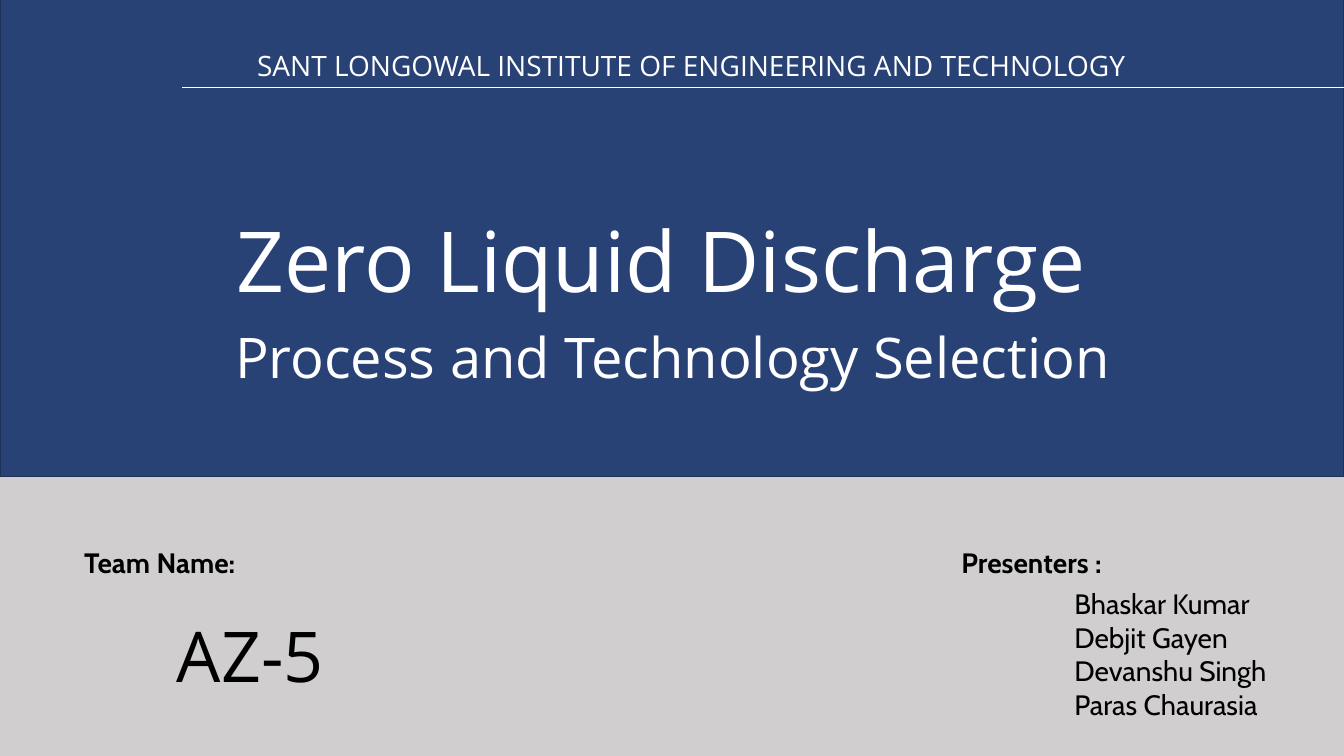
from lxml.etree import SubElement
from pptx import Presentation
from pptx.dml.color import RGBColor
from pptx.enum.shapes import MSO_CONNECTOR as CONN, MSO_SHAPE as SHAPE
from pptx.enum.text import MSO_AUTO_SIZE as AUTO, PP_ALIGN as ALIGN
from pptx.oxml.ns import qn
from pptx.util import Pt

COLORS = {"back": "D0CECE", "banner": "002060", "edge": "1E3256",
          "light": "FFFFFF", "dark": "000000"}
SLIDE_W, SLIDE_H = 960, 540
BANNER = (0, -2.16, SLIDE_W, 342.72)
BANNER_OPACITY = 80
RULE_X, RULE_Y = 130.32, 62.1

HEADING = ("Open Sans", "light", False, ALIGN.CENTER)
TEAM = ("Open Sans", "dark", False, ALIGN.CENTER)
LABEL_CENTER = ("Cabin", "dark", True, ALIGN.CENTER)
LABEL_LEFT = ("Cabin", "dark", True, ALIGN.LEFT)
NAMES = ("Cabin", "dark", False, ALIGN.LEFT)

TEXTS = [
    (["Zero Liquid Discharge "], (114.5, 109.4, 731.5, 102.2), 60, 1.5, HEADING),
    (["Process and Technology Selection"], (114.5, 226.8, 731.5, 55.4), 40, 1, HEADING),
    (["Bhaskar Kumar", "Debjit Gayen", "Devanshu Singh", "Paras Chaurasia"],
     (760.3, 415.4, 283, 104.4), 20, 1, NAMES),
    (["Presenters :"], (679.7, 385.9, 194.4, 31.7), 20, 1, LABEL_LEFT),
    (["AZ-5"], (37.4, 434.2, 283, 67.7), 50, 1, TEAM),
    (["Team Name:"], (-74.2, 385.9, 376.6, 31.7), 20, 1, LABEL_CENTER),
    (["SANT LONGOWAL INSTITUTE OF ENGINEERING AND TECHNOLOGY"],
     (83.5, 31, 820.8, 31.7), 20, 1, HEADING),
]


def color(name):
    return RGBColor.from_string(COLORS[name])


def add_banner(s):
    banner = s.shapes.add_shape(SHAPE.RECTANGLE, *map(Pt, BANNER))
    banner.shadow.inherit = False
    banner.fill.solid()
    banner.fill.fore_color.rgb = color("banner")
    tint = banner.fill._xPr.find(".//" + qn("a:srgbClr"))
    SubElement(tint, qn("a:alpha"), val=str(BANNER_OPACITY * 1000))
    banner.line.color.rgb = color("edge")
    banner.line.width = Pt(1)


def add_text(s, lines, box, size, spacing, style):
    font, ink, bold, align = style
    tf = s.shapes.add_textbox(*map(Pt, box)).text_frame
    tf.word_wrap = True
    tf.auto_size = AUTO.SHAPE_TO_FIT_TEXT
    tf.text = "\n".join(lines)
    for p in tf.paragraphs:
        p.alignment = align
        p.line_spacing = spacing
        p.font.name = font
        p.font.size = Pt(size)
        p.font.bold = bold
        p.font.color.rgb = color(ink)


def add_rule(s):
    rule = s.shapes.add_connector(
        CONN.STRAIGHT, Pt(RULE_X), Pt(RULE_Y), Pt(SLIDE_W), Pt(RULE_Y))
    rule.line.color.rgb = color("light")
    rule.line.width = Pt(0.5)
    SubElement(rule._element.spPr, qn("a:effectLst"))


def main():
    """Build the title slide and save it."""
    prs = Presentation()
    prs.slide_width, prs.slide_height = Pt(SLIDE_W), Pt(SLIDE_H)
    s = prs.slides.add_slide(prs.slide_layouts[6])
    s.background.fill.solid()
    s.background.fill.fore_color.rgb = color("back")
    add_banner(s)
    for text in TEXTS:
        add_text(s, *text)
    add_rule(s)
    prs.save("out.pptx")


if __name__ == "__main__":
    main()
